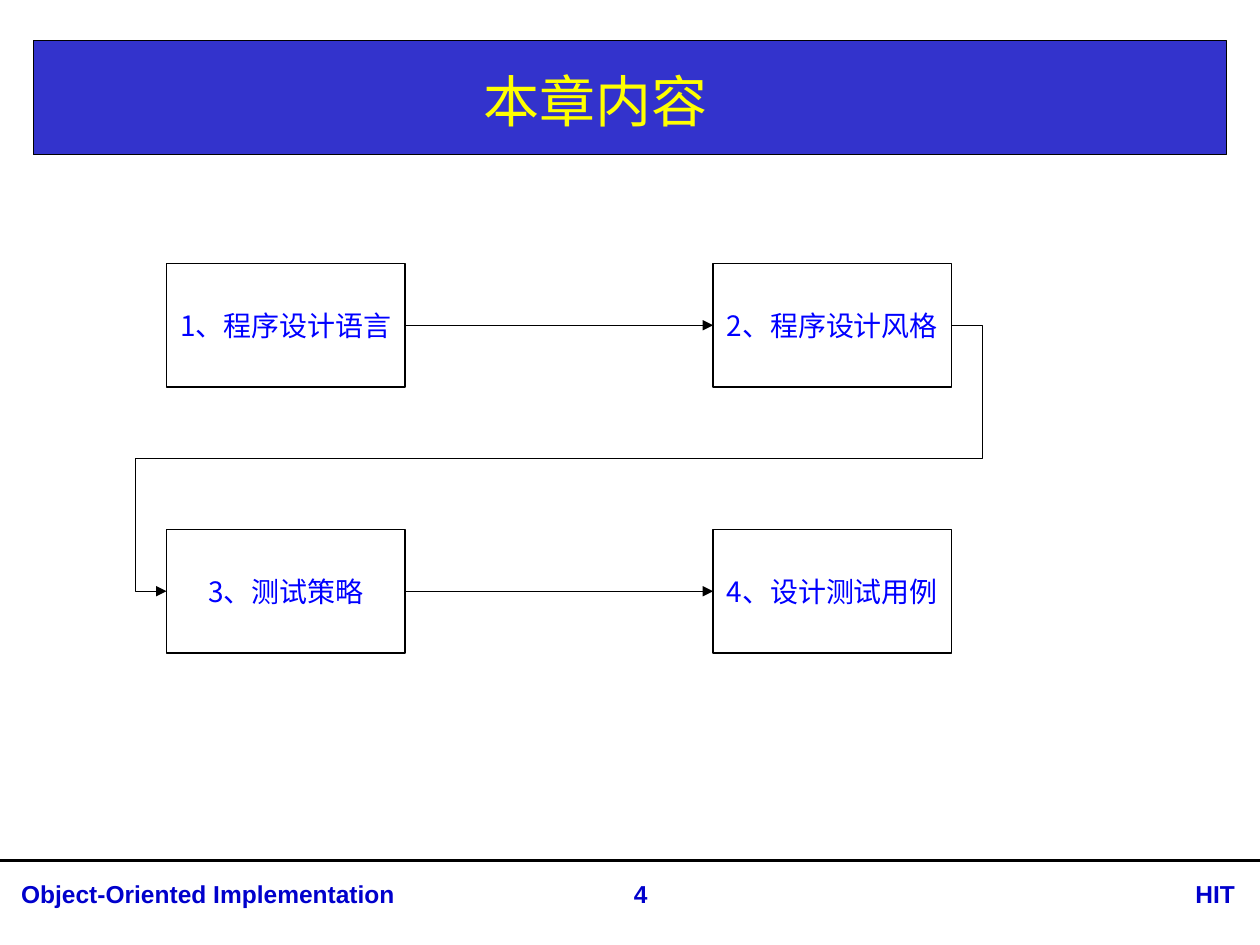
import pptx
import pptx.dml.color
import pptx.enum.shapes
import pptx.enum.text
import pptx.oxml
import pptx.oxml.ns
import pptx.util

Pt = pptx.util.Pt
qn = pptx.oxml.ns.qn
ALIGN = pptx.enum.text.PP_ALIGN
ANCHOR = pptx.enum.text.MSO_ANCHOR
RECTANGLE = pptx.enum.shapes.MSO_SHAPE.RECTANGLE
CONNECTOR = pptx.enum.shapes.MSO_CONNECTOR

TITLE = "本章内容"
STEPS = ["1、程序设计语言", "2、程序设计风格", "3、测试策略", "4、设计测试用例"]
FOOTERS = [
    ("Object-Oriented Implementation", 5, 333, ALIGN.LEFT),
    ("HIT", 638.6, 74.2, ALIGN.RIGHT),
    ("4", 329, 74.2, ALIGN.CENTER),
]
CHINESE_FONT = "Noto Sans CJK SC"
LEFT, TOP = 95.25, 150.5
COLUMN_STEP, ROW_STEP = 312.25, 152
BOX_WIDTH, BOX_HEIGHT = 136.25, 70.75
DETOUR_ADJUSTMENTS = [-4000, 50000, 104000]


def color(value):
    return pptx.dml.color.RGBColor.from_string(value)


def add_run(paragraph, text, size, font_name, font_color, bold=False):
    run = paragraph.add_run()
    run.text = text
    run.font.size = Pt(size)
    run.font.name = font_name
    run.font.bold = bold
    run.font.color.rgb = color(font_color)
    if font_name == CHINESE_FONT:
        properties = run.font._element
        east_asian = properties.makeelement(qn("a:ea"), {"typeface": font_name})
        properties.find(qn("a:latin")).addnext(east_asian)


def add_rectangle(slide, left, top, width, height, fill):
    shape = slide.shapes.add_shape(RECTANGLE, Pt(left), Pt(top), Pt(width), Pt(height))
    shape.shadow.inherit = False
    shape.fill.solid()
    shape.fill.fore_color.rgb = color(fill)
    shape.line.color.rgb = color("000000")
    shape.line.width = Pt(0.75)
    return shape


def add_line(slide, kind, start, end, width):
    connector = slide.shapes.add_connector(kind, *[Pt(value) for value in start + end])
    connector.line.color.rgb = color("000000")
    connector.line.width = Pt(width)
    properties = connector.element.spPr
    properties.append(properties.makeelement(qn("a:effectLst"), {}))
    return connector


def add_arrow(slide, kind, source, target):
    connector = add_line(slide, kind, (0, 0), (0, 0), 0.75)
    connector.begin_connect(source, 3)
    connector.end_connect(target, 1)
    line = connector.line._get_or_add_ln()
    line.append(line.makeelement(qn("a:tailEnd"), {"type": "triangle"}))
    return connector


def route_around(connector):
    geometry = connector.element.spPr.find(qn("a:prstGeom"))
    geometry.set("prst", "bentConnector5")
    adjustments = geometry.find(qn("a:avLst"))
    for number, value in enumerate(DETOUR_ADJUSTMENTS, 1):
        guide = {"name": f"adj{number}", "fmla": f"val {value}"}
        adjustments.append(adjustments.makeelement(qn("a:gd"), guide))


def add_title(slide):
    banner = add_rectangle(slide, 19, 23.25, 682, 65.25, "3333CC")
    title = slide.shapes.title
    title.left, title.top, title.width, title.height = Pt(0), Pt(26), Pt(680.5), Pt(62.5)
    frame = title.text_frame
    frame.auto_size = pptx.enum.text.MSO_AUTO_SIZE.NONE
    frame.vertical_anchor = ANCHOR.MIDDLE
    frame.paragraphs[0].alignment = ALIGN.CENTER
    add_run(frame.paragraphs[0], TITLE, 32, CHINESE_FONT, "FFFF00")
    banner.element.addnext(title.element)


def add_footers(slide):
    add_line(slide, CONNECTOR.STRAIGHT, (0, 491.75), (720, 491.75), 2.25)
    for text, left, width, alignment in FOOTERS:
        box = slide.shapes.add_textbox(Pt(left), Pt(499), Pt(width), Pt(24.5))
        box.text_frame.word_wrap = True
        paragraph = box.text_frame.paragraphs[0]
        paragraph.alignment = alignment
        add_run(paragraph, text, 14, "Arial", "0000CC", True)


def add_steps(slide):
    boxes = []
    for index, text in enumerate(STEPS):
        row, column = divmod(index, 2)
        box = add_rectangle(slide, LEFT + column * COLUMN_STEP, TOP + row * ROW_STEP,
                            BOX_WIDTH, BOX_HEIGHT, "FFFFFF")
        box.text_frame.word_wrap = True
        box.text_frame.vertical_anchor = ANCHOR.MIDDLE
        paragraph = box.text_frame.paragraphs[0]
        paragraph.alignment = ALIGN.CENTER
        add_run(paragraph, text, 16, CHINESE_FONT, "0000FF")
        boxes.append(box)
    first, second, third, fourth = boxes
    add_arrow(slide, CONNECTOR.STRAIGHT, first, second)
    route_around(add_arrow(slide, CONNECTOR.ELBOW, second, third))
    add_arrow(slide, CONNECTOR.STRAIGHT, third, fourth)


def main():
    presentation = pptx.Presentation()
    presentation.slide_width, presentation.slide_height = Pt(720), Pt(540)
    slide = presentation.slides.add_slide(presentation.slide_layouts[5])
    add_title(slide)
    add_footers(slide)
    add_steps(slide)
    presentation.save("out.pptx")


if __name__ == "__main__":
    main()
